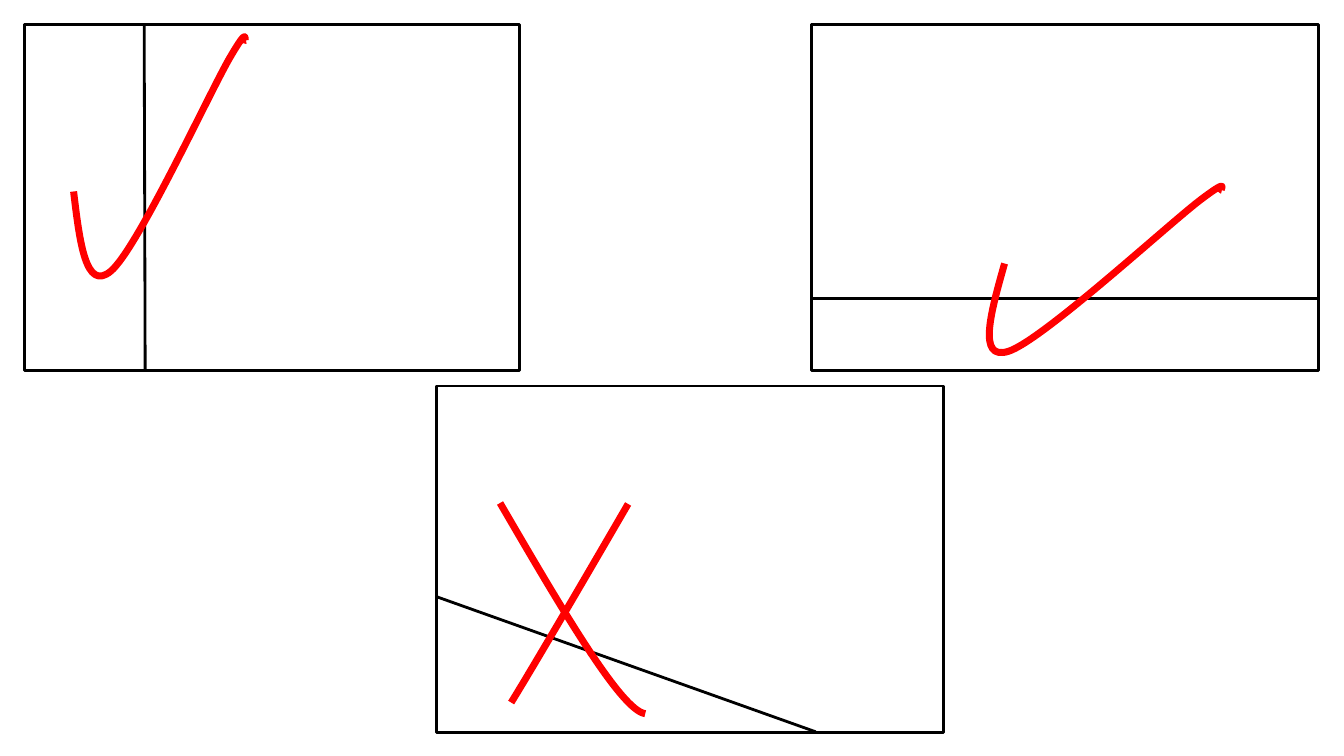
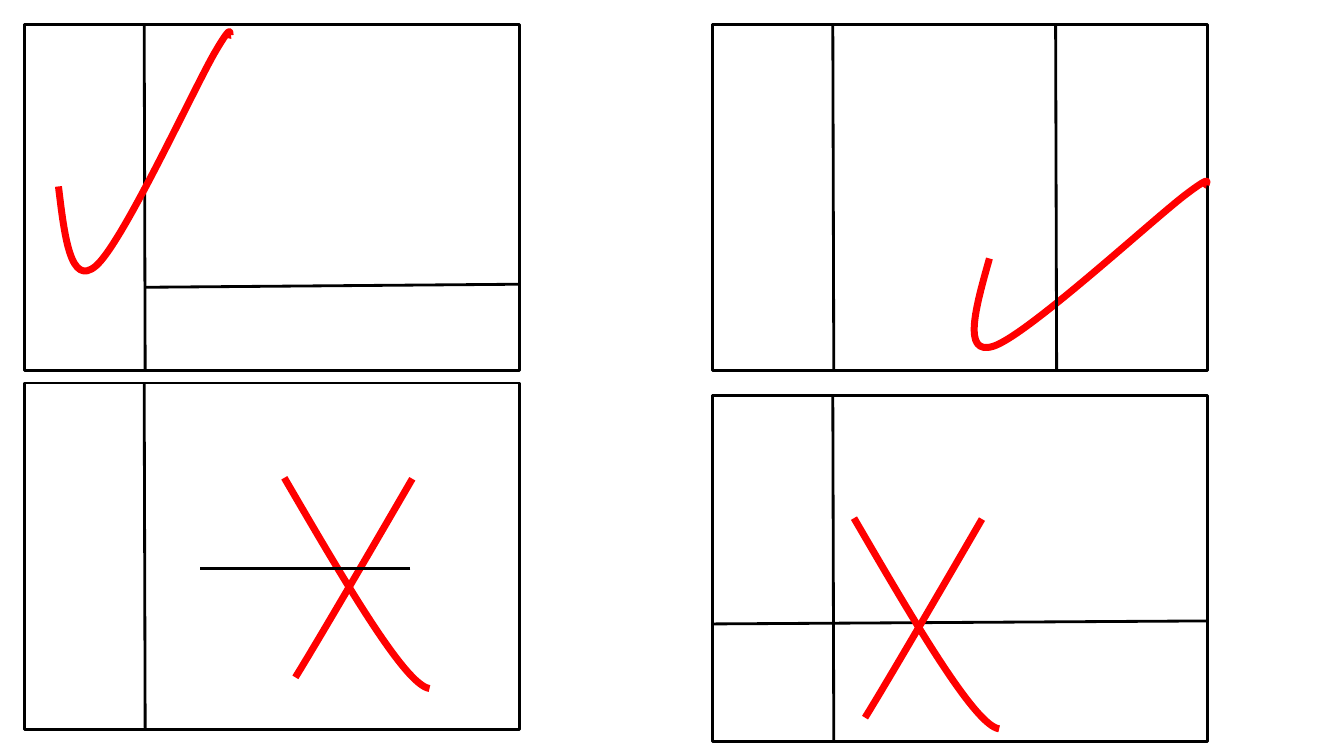
from dataclasses import dataclass

from lxml import etree
from pptx import Presentation
from pptx.dml.color import RGBColor
from pptx.enum.shapes import MSO_CONNECTOR, MSO_SHAPE
from pptx.oxml.ns import qn
from pptx.util import Inches, Pt

RECTANGLE = MSO_SHAPE.RECTANGLE
STRAIGHT = MSO_CONNECTOR.STRAIGHT
BLANK_LAYOUT = 6


@dataclass(frozen=True)
class Theme:
    """Colours and line widths shared by both slides."""
    ink: RGBColor = RGBColor(0x00, 0x00, 0x00)
    mark: RGBColor = RGBColor(0xFF, 0x00, 0x00)
    paper: RGBColor = RGBColor(0xFF, 0xFF, 0xFF)
    ink_width: Pt = Pt(2)
    mark_width: Pt = Pt(5)


THEME = Theme()

# Panel sizes and the offset of a panel's vertical divider, in inches.
PANEL_HEIGHT = 3.44
NARROW, WIDE = 4.91, 5.03
DIVIDER_OFFSET = 1.19
LEAN = 0.01

# Each stroke: its size, its start, and its cubic curves (two controls, one end).
TICK_SIZE = (1.71, 2.37)
TICK_START = (0, 1.53)
TICK_CURVES = [
    [(0.06, 2.03), (0.12, 2.53), (0.37, 2.32)],
    [(0.63, 2.1), (1.32, 0.61), (1.54, 0.22)],
    [(1.76, -0.16), (1.68, 0.06), (1.71, 0.03)],
]
FALLING_SIZE = (1.44, 2.09)
FALLING_CURVES = [[(0.6, 1.03), (1.2, 2.06), (1.44, 2.09)]]
RISING_SIZE = (1.17, 1.97)
RISING_CURVES = [[(0.69, 0.81), (0.21, 1.63), (0, 1.97)]]
RISING_OFFSET = (0.11, 0.01)
TILT = 22.6


def style_line(line, color, width):
    """Give a line its colour and width."""
    line.color.rgb = color
    line.width = width


def add_divider(shapes, start, end):
    """Draw a black straight line between two points."""
    divider = shapes.add_connector(STRAIGHT, *map(Inches, (*start, *end)))
    style_line(divider.line, THEME.ink, THEME.ink_width)
    etree.SubElement(divider.element.spPr, qn("a:effectLst"))


def add_panel(shapes, left, top, width=NARROW):
    """Draw an unfilled panel frame."""
    frame = shapes.add_shape(
        RECTANGLE, *map(Inches, (left, top, width, PANEL_HEIGHT)))
    frame.shadow.inherit = False
    frame.fill.background()
    style_line(frame.line, THEME.ink, THEME.ink_width)


def add_vertical(shapes, left, top):
    """Draw a slightly leaning divider over the height of a panel."""
    add_divider(shapes, (left, top), (left + LEAN, top + PANEL_HEIGHT))


def add_split_panel(slide, left, top):
    """Group a narrow panel with its vertical divider."""
    group = slide.shapes.add_group_shape()
    add_panel(group.shapes, left, top)
    add_vertical(group.shapes, left + DIVIDER_OFFSET, top)


def add_point(parent, point):
    """Add one curve point, in inches, to a drawing command."""
    x, y = map(Inches, point)
    etree.SubElement(parent, qn("a:pt"), x=str(x), y=str(y))


def add_stroke(shapes, origin, size, start, curves, rotation=0):
    """Draw a red curved stroke whose points are relative to its origin."""
    left, top, width, height = map(Inches, (*origin, *size))
    right, bottom = left + width, top + height
    builder = shapes.build_freeform(left, top)
    builder.add_line_segments([(right, top), (right, bottom), (left, bottom)])
    stroke = builder.convert_to_shape()

    # The builder fixes the extents; its straight outline gives way to curves.
    outline = next(stroke.element.iter(qn("a:path")))
    for command in list(outline):
        outline.remove(command)
    add_point(etree.SubElement(outline, qn("a:moveTo")), start)
    for curve in curves:
        bezier = etree.SubElement(outline, qn("a:cubicBezTo"))
        for point in curve:
            add_point(bezier, point)

    stroke.shadow.inherit = False
    stroke.fill.background()
    style_line(stroke.line, THEME.mark, THEME.mark_width)
    stroke.rotation = rotation


def add_tick(slide, left, top, rotation=0):
    """Draw a tick for a correct answer."""
    add_stroke(slide.shapes, (left, top), TICK_SIZE, TICK_START, TICK_CURVES,
               rotation)


def add_cross(slide, left, top):
    """Group the two strokes of a cross for a wrong answer."""
    group = slide.shapes.add_group_shape()
    add_stroke(group.shapes, (left, top), FALLING_SIZE, (0, 0), FALLING_CURVES)
    rising_origin = (left + RISING_OFFSET[0], top + RISING_OFFSET[1])
    add_stroke(group.shapes, rising_origin, RISING_SIZE, (1.16, 0),
               RISING_CURVES)


def add_slide(deck):
    """Add a blank slide with the shared background."""
    slide = deck.slides.add_slide(deck.slide_layouts[BLANK_LAYOUT])
    slide.background.fill.solid()
    slide.background.fill.fore_color.rgb = THEME.paper
    return slide


def build_single_cuts(deck):
    """Build the slide of panels cut by one line."""
    slide = add_slide(deck)
    add_panel(slide.shapes, 4.33, 3.83, WIDE)
    add_split_panel(slide, 0.24, 0.24)

    horizontal_cut = slide.shapes.add_group_shape().shapes
    add_panel(horizontal_cut, 8.05, 0.24, WIDE)
    add_divider(horizontal_cut, (8.05 + WIDE, 2.96), (8.05, 2.96))

    add_divider(slide.shapes, (8.09, 7.26), (4.33, 5.92))
    add_tick(slide, 0.73, 0.37)
    add_tick(slide, 10.03, 1.44, TILT)
    add_cross(slide, 4.96, 4.99)


def build_double_cuts(deck):
    """Build the slide of panels cut by two lines."""
    slide = add_slide(deck)
    for left, top in [(0.24, 0.24), (0.24, 3.8), (7.07, 0.24)]:
        add_split_panel(slide, left, top)
    add_tick(slide, 0.58, 0.32)
    add_tick(slide, 9.88, 1.39, TILT)
    add_cross(slide, 2.82, 4.74)

    add_vertical(slide.shapes, 10.47, 0.24)
    add_divider(slide.shapes, (5.15, 2.82), (1.44, 2.85))
    add_divider(slide.shapes, (4.07, 5.64), (1.98, 5.64))

    add_split_panel(slide, 7.07, 3.92)
    add_divider(slide.shapes, (11.98, 6.16), (7.07, 6.19))
    add_cross(slide, 8.47, 5.14)


def main():
    """Build and save the two slides."""
    deck = Presentation()
    deck.slide_width, deck.slide_height = Inches(13.33), Inches(7.5)
    build_single_cuts(deck)
    build_double_cuts(deck)
    deck.save("out.pptx")


main()
